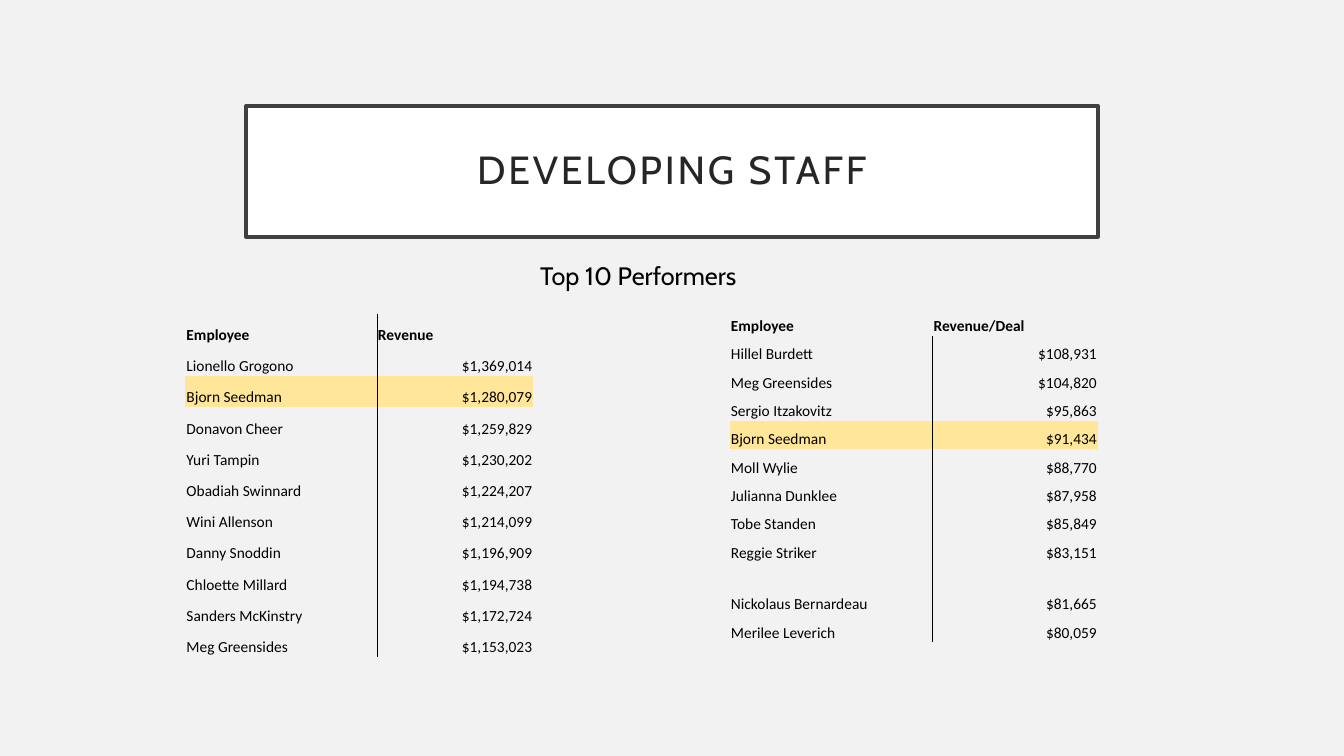
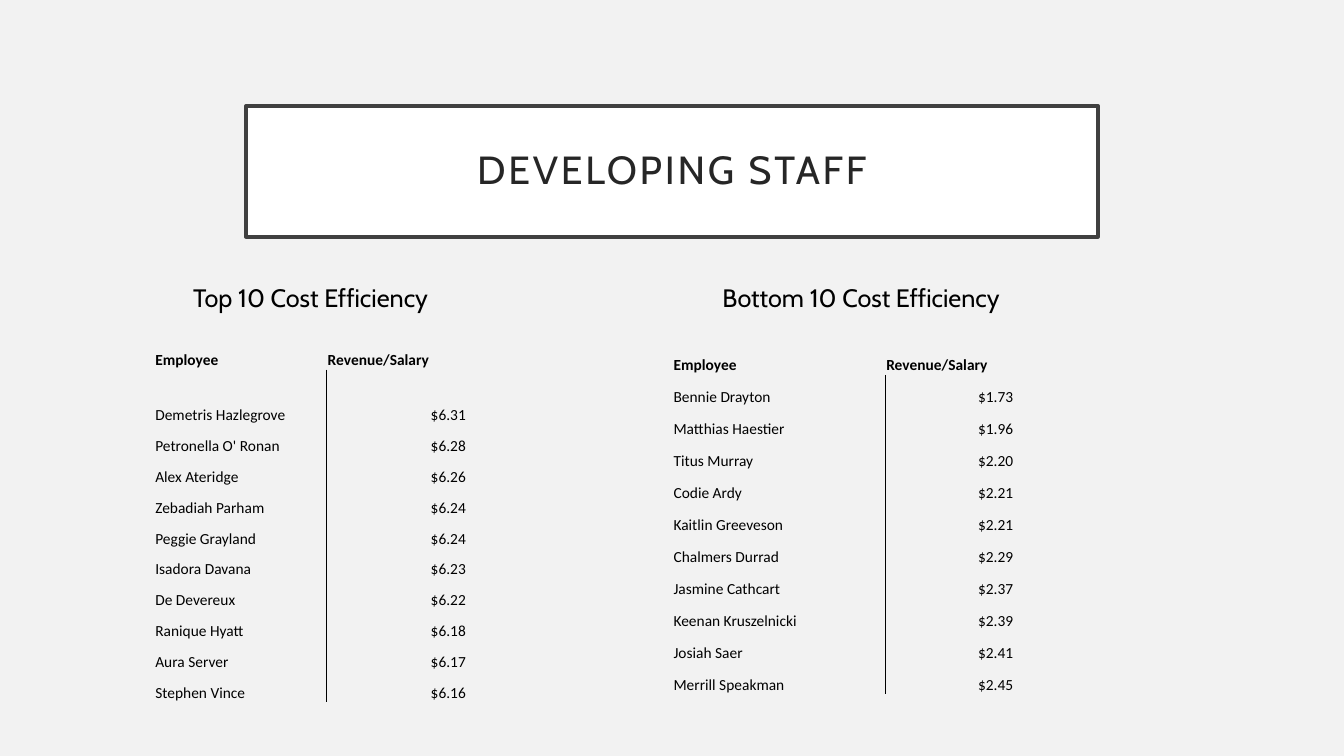
"""Build the two staff ranking slides."""
import lxml.etree
import pptx
import pptx.dml.color
import pptx.enum.text
import pptx.oxml.ns
import pptx.util

COLORS = {
    "background": "F2F2F2",
    "panel": "FFFFFF",
    "frame": "404040",
    "title": "262626",
    "text": "000000",
    "highlight": "FFE699",
}
PLAIN_TABLE = "{2D5ABB26-0587-4C30-8999-92F81FD0307C}"
ALIGN = pptx.enum.text.PP_ALIGN
ANCHOR = pptx.enum.text.MSO_ANCHOR
AUTO_SIZE = pptx.enum.text.MSO_AUTO_SIZE


def color(name):
    return pptx.dml.color.RGBColor.from_string(COLORS[name])


class Deck:
    """Holds the shared style and the current slide; lengths are percent of the slide."""

    def __init__(self):
        self.deck = pptx.Presentation()
        self.deck.slide_width = pptx.util.Inches(13.33)
        self.deck.slide_height = pptx.util.Inches(7.5)
        backdrop = self.deck.slide_master.background.fill
        backdrop.solid()
        backdrop.fore_color.rgb = color("background")
        self.slide = None

    def across(self, share):
        return round(self.deck.slide_width * share / 100)

    def down(self, share):
        return round(self.deck.slide_height * share / 100)

    def box(self, left, top, width, height):
        return self.across(left), self.down(top), self.across(width), self.down(height)

    def add_text(self, paragraph, text, size, font, align, tint="text", bold=False):
        paragraph.alignment = align
        run = paragraph.add_run()
        run.text = text
        run.font.size = pptx.util.Pt(size)
        run.font.name = font
        run.font.bold = bold
        run.font.color.rgb = color(tint)
        return run

    def start(self, heading):
        self.slide = self.deck.slides.add_slide(self.deck.slide_layouts[5])
        title = self.slide.shapes.title
        title.left, title.top, title.width, title.height = self.box(18.3, 14, 63.4, 17.33)
        title.fill.solid()
        title.fill.fore_color.rgb = color("panel")
        title.line.color.rgb = color("frame")
        title.line.width = pptx.util.Pt(2.5)
        frame = title.text_frame
        frame.auto_size = AUTO_SIZE.NONE
        frame.word_wrap = True
        frame.vertical_anchor = ANCHOR.MIDDLE
        frame.margin_left = frame.margin_right = pptx.util.Inches(0.2)
        frame.margin_top = frame.margin_bottom = pptx.util.Inches(0.2)
        paragraph = frame.paragraphs[0]
        paragraph.line_spacing = 0.9
        run = self.add_text(paragraph, heading, 28, "Cabin", ALIGN.CENTER, "title")
        run._r.get_or_add_rPr().set("spc", "200")

    def caption(self, text, left, top):
        label = self.slide.shapes.add_textbox(*self.box(left, top, 35.26, 5.33))
        label.text_frame.word_wrap = True
        label.text_frame.auto_size = AUTO_SIZE.SHAPE_TO_FIT_TEXT
        self.add_text(label.text_frame.paragraphs[0], text, 18, "Cabin", ALIGN.CENTER)

    def rule(self, cell, edge):
        line = lxml.etree.Element(pptx.oxml.ns.qn(f"a:{edge}"), w=str(pptx.util.Pt(0.5)))
        fill = lxml.etree.SubElement(line, pptx.oxml.ns.qn("a:solidFill"))
        lxml.etree.SubElement(fill, pptx.oxml.ns.qn("a:srgbClr"), val=COLORS["text"])
        cell._tc.get_or_add_tcPr().insert(0, line)

    def cell(self, cell, text, align, bold, marked):
        cell.margin_left = cell.margin_right = cell.margin_top = pptx.util.Inches(0.01)
        cell.margin_bottom = 0
        cell.vertical_anchor = ANCHOR.BOTTOM
        if marked:
            cell.fill.solid()
            cell.fill.fore_color.rgb = color("highlight")
        else:
            cell.fill.background()
        self.add_text(cell.text_frame.paragraphs[0], text, 11, "Calibri", align, bold=bold)

    def ranking(self, measure, staff, left, top, columns, row, tall=None,
                marked=None, ruled_header=False):
        rows = [("Employee", measure), *staff]
        heights = [row] * len(rows)
        if tall:
            position, height = tall
            heights[position] = height
        area = self.box(left, top, sum(columns), sum(heights))
        table = self.slide.shapes.add_table(len(rows), 2, *area).table
        table.first_row = table.horz_banding = False
        table._tbl.tblPr.find(pptx.oxml.ns.qn("a:tableStyleId")).text = PLAIN_TABLE
        for column, width in zip(table.columns, columns):
            column.width = self.across(width)
        for index, (employee, value) in enumerate(rows):
            table.rows[index].height = self.down(heights[index])
            header = index == 0
            name, figure = table.cell(index, 0), table.cell(index, 1)
            shaded = employee == marked
            self.cell(name, employee, ALIGN.LEFT, header, shaded)
            self.cell(figure, value, ALIGN.LEFT if header else ALIGN.RIGHT, header, shaded)
            if ruled_header or not header:
                self.rule(name, "lnR")
                self.rule(figure, "lnL")


REVENUE_PER_DEAL = [
    ("Hillel Burdett", "$108,931"),
    ("Meg Greensides", "$104,820"),
    ("Sergio Itzakovitz", "$95,863"),
    ("Bjorn Seedman", "$91,434"),
    ("Moll Wylie", "$88,770"),
    ("Julianna Dunklee", "$87,958"),
    ("Tobe Standen", "$85,849"),
    ("Reggie Striker", "$83,151"),
    ("Nickolaus Bernardeau", "$81,665"),
    ("Merilee Leverich", "$80,059"),
]
REVENUE = [
    ("Lionello Grogono", "$1,369,014"),
    ("Bjorn Seedman", "$1,280,079"),
    ("Donavon Cheer", "$1,259,829"),
    ("Yuri Tampin", "$1,230,202"),
    ("Obadiah Swinnard", "$1,224,207"),
    ("Wini Allenson", "$1,214,099"),
    ("Danny Snoddin", "$1,196,909"),
    ("Chloette Millard", "$1,194,738"),
    ("Sanders McKinstry", "$1,172,724"),
    ("Meg Greensides", "$1,153,023"),
]
MOST_EFFICIENT = [
    ("Demetris Hazlegrove", "$6.31"),
    ("Petronella O' Ronan", "$6.28"),
    ("Alex Ateridge", "$6.26"),
    ("Zebadiah Parham", "$6.24"),
    ("Peggie Grayland", "$6.24"),
    ("Isadora Davana", "$6.23"),
    ("De Devereux", "$6.22"),
    ("Ranique Hyatt", "$6.18"),
    ("Aura Server", "$6.17"),
    ("Stephen Vince", "$6.16"),
]
LEAST_EFFICIENT = [
    ("Bennie Drayton", "$1.73"),
    ("Matthias Haestier", "$1.96"),
    ("Titus Murray", "$2.20"),
    ("Codie Ardy", "$2.21"),
    ("Kaitlin Greeveson", "$2.21"),
    ("Chalmers Durrad", "$2.29"),
    ("Jasmine Cathcart", "$2.37"),
    ("Keenan Kruszelnicki", "$2.39"),
    ("Josiah Saer", "$2.41"),
    ("Merrill Speakman", "$2.45"),
]
HEADING = "DEVELOPING STAFF"
STAR = "Bjorn Seedman"

staff_deck = Deck()

staff_deck.start(HEADING)
staff_deck.ranking("Revenue/Deal", REVENUE_PER_DEAL, 54.31, 40.67, (15.08, 12.3), 3.75,
                   tall=(9, 6.8), marked=STAR)
staff_deck.caption("Top 10 Performers", 29.86, 33.73)
staff_deck.ranking("Revenue", REVENUE, 13.8, 41.47, (14.25, 11.63), 4.13,
                   marked=STAR, ruled_header=True)

staff_deck.start(HEADING)
staff_deck.ranking("Revenue/Salary", MOST_EFFICIENT, 11.48, 44.8, (12.83, 10.43), 4.08,
                   tall=(1, 7.33))
staff_deck.ranking("Revenue/Salary", LEAST_EFFICIENT, 50.04, 42, (15.83, 9.6), 4.23,
                   tall=(0, 7.6))
staff_deck.caption("Top 10 Cost Efficiency", 5.48, 36.67)
staff_deck.caption("Bottom 10 Cost Efficiency", 46.44, 36.67)

staff_deck.deck.save("out.pptx")
